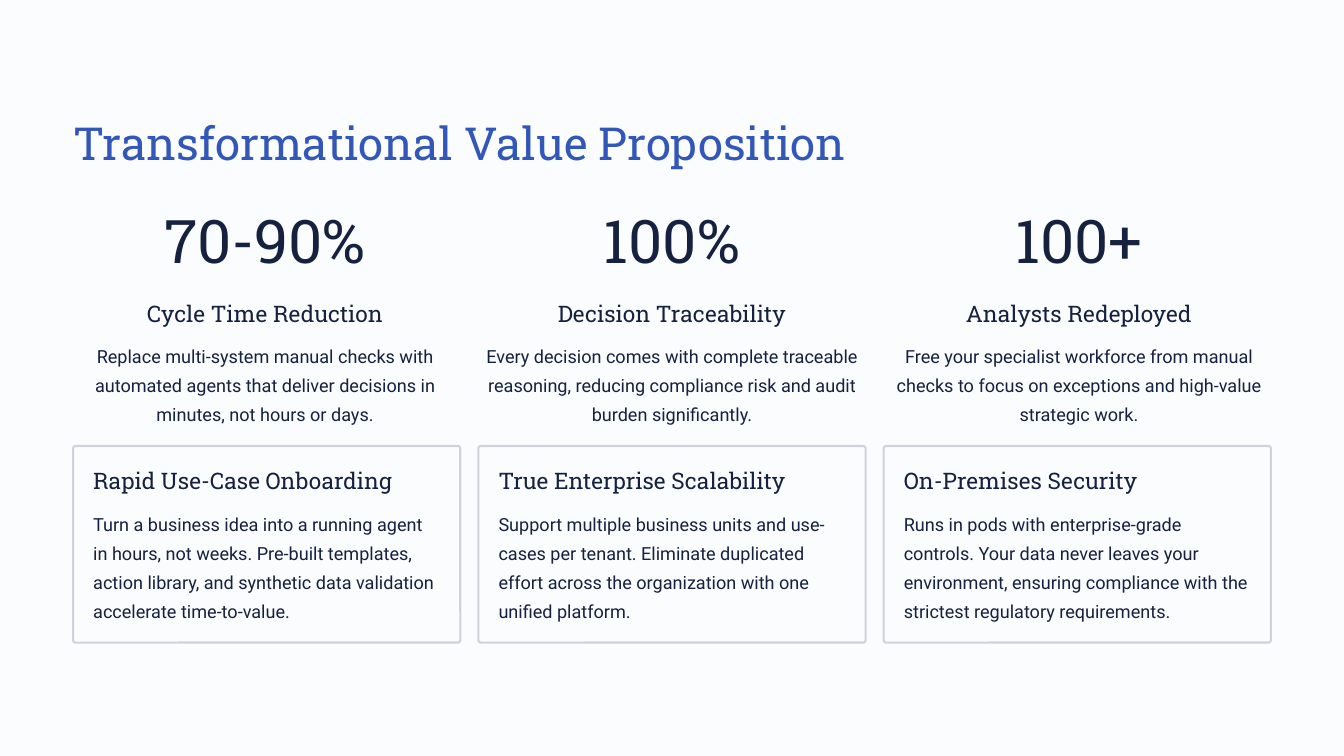
from pptx import Presentation
from pptx.dml.color import RGBColor
from pptx.enum.shapes import MSO_SHAPE
from pptx.enum.text import MSO_ANCHOR, MSO_AUTO_SIZE, PP_ALIGN
from pptx.util import Inches, Pt

ROUNDED = MSO_SHAPE.ROUNDED_RECTANGLE
TOP = MSO_ANCHOR.TOP
NO_AUTOFIT = MSO_AUTO_SIZE.NONE
LEFT, CENTER = PP_ALIGN.LEFT, PP_ALIGN.CENTER

PAPER, NAVY, BLUE, GRAY = "FBFCFE", "15213F", "3257B8", "CFD2D8"

FORMATS = {
    "title": {"name": "Roboto Slab", "size": 39, "color": BLUE, "spacing": 48.5},
    "figure": {"name": "Roboto Slab", "size": 51.5, "color": NAVY, "spacing": 51.5},
    "heading": {"name": "Roboto Slab", "size": 19.5, "color": NAVY, "spacing": 24},
    "body": {"name": "Roboto", "size": 15.5, "color": NAVY, "spacing": 25},
}

MARGIN, CONTENT_WIDTH = 0.87, 14.26
STAT_WIDTH, CARD_WIDTH = 4.57, 4.61
CARD_TOP, CARD_HEIGHT, CARD_PADDING, CARD_RADIUS = 5.31, 2.34, 0.24, 0.03

STATS = [
    ("70-90%", "Cycle Time Reduction",
     "Replace multi-system manual checks with automated agents that deliver "
     "decisions in minutes, not hours or days."),
    ("100%", "Decision Traceability",
     "Every decision comes with complete traceable reasoning, reducing "
     "compliance risk and audit burden significantly."),
    ("100+", "Analysts Redeployed",
     "Free your specialist workforce from manual checks to focus on "
     "exceptions and high-value strategic work."),
]
CARDS = [
    ("Rapid Use-Case Onboarding",
     "Turn a business idea into a running agent in hours, not weeks. Pre-built "
     "templates, action library, and synthetic data validation accelerate "
     "time-to-value."),
    ("True Enterprise Scalability",
     "Support multiple business units and use-cases per tenant. Eliminate "
     "duplicated effort across the organization with one unified platform."),
    ("On-Premises Security",
     "Runs in pods with enterprise-grade controls. Your data never leaves your "
     "environment, ensuring compliance with the strictest regulatory "
     "requirements."),
]


def paint(fill, color):
    fill.solid()
    fill.fore_color.rgb = RGBColor.from_string(color)


def column_left(column, width):
    """Left edge of one of three columns spread evenly over the content."""
    return MARGIN + column * (CONTENT_WIDTH - width) / 2


def write(box, text, style, align=LEFT):
    """Fill a box with one paragraph in a named format."""
    frame = box.text_frame
    frame.text = text
    settings = {"margin_left": 0, "margin_top": 0, "margin_right": 0,
                "margin_bottom": 0, "word_wrap": True,
                "vertical_anchor": TOP, "auto_size": NO_AUTOFIT}
    for name, value in settings.items():
        setattr(frame, name, value)
    values = FORMATS[style]
    para = frame.paragraphs[0]
    para.alignment = align
    para.line_spacing = Pt(values["spacing"])
    font = para.runs[0].font
    font.name = values["name"]
    font.size = Pt(values["size"])
    font.color.rgb = RGBColor.from_string(values["color"])


def add_text(page, left, top, width, height, text, style, align=LEFT):
    box = page.shapes.add_textbox(
        Inches(left), Inches(top), Inches(width), Inches(height))
    write(box, text, style, align)


def add_title(page, text):
    title = page.shapes.title
    title.left, title.top = Inches(MARGIN), Inches(1.35)
    title.width, title.height = Inches(9.23), Inches(0.68)
    write(title, text, "title")


def add_stat(page, left, figure, heading, body):
    rows = [(2.57, 0.72, figure, "figure"),
            (3.56, 0.34, heading, "heading"),
            (4.02, 1.04, body, "body")]
    for top, height, text, style in rows:
        add_text(page, left, top, STAT_WIDTH, height, text, style, CENTER)


def add_card(page, left, heading, body):
    card = page.shapes.add_shape(
        ROUNDED, Inches(left), Inches(CARD_TOP),
        Inches(CARD_WIDTH), Inches(CARD_HEIGHT))
    card.adjustments[0] = CARD_RADIUS / CARD_HEIGHT
    card.shadow.inherit = False
    paint(card.fill, PAPER)
    paint(card.line.fill, GRAY)
    card.line.width = Pt(1.8)
    inner_left = left + CARD_PADDING
    inner_width = CARD_WIDTH - 2 * CARD_PADDING
    add_text(page, inner_left, CARD_TOP + CARD_PADDING, inner_width, 0.34,
             heading, "heading")
    add_text(page, inner_left, 6.02, inner_width, 1.39, body, "body")


def main():
    deck = Presentation()
    deck.slide_width, deck.slide_height = Inches(16), Inches(9)
    title_only = deck.slide_layouts[5]
    page = deck.slides.add_slide(title_only)
    paint(page.background.fill, PAPER)

    add_title(page, "Transformational Value Proposition")
    for column, stat in enumerate(STATS):
        add_stat(page, column_left(column, STAT_WIDTH), *stat)
    for column, card in enumerate(CARDS):
        add_card(page, column_left(column, CARD_WIDTH), *card)

    deck.save("out.pptx")


if __name__ == "__main__":
    main()
